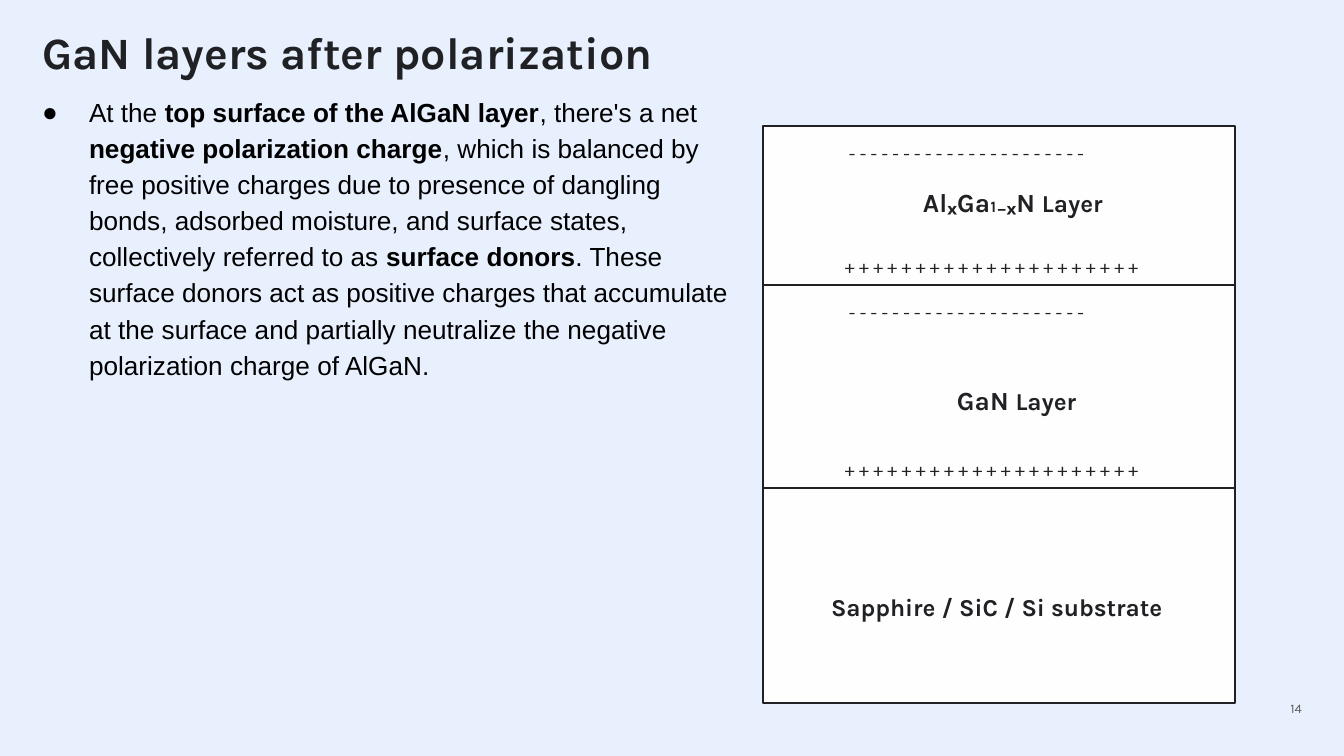
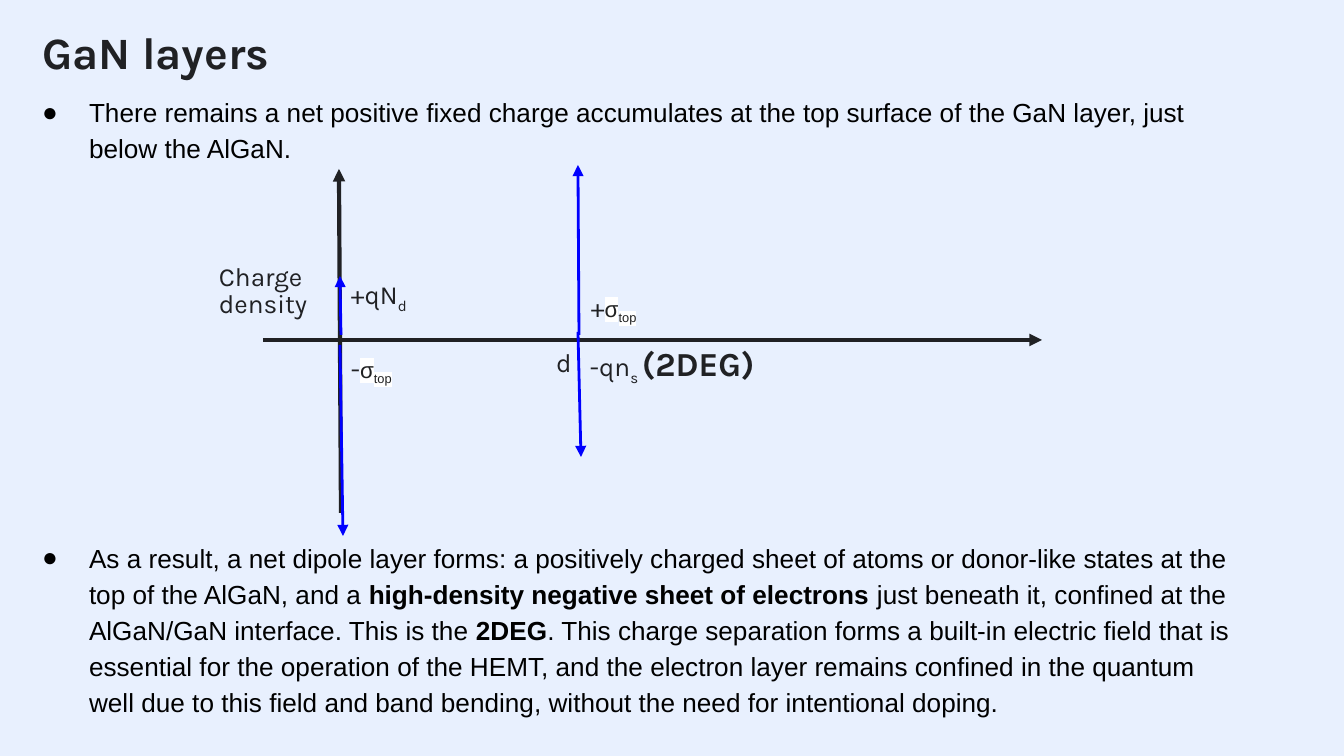
from dataclasses import dataclass
from itertools import cycle

from lxml.etree import SubElement
from pptx import Presentation
from pptx.dml.color import RGBColor
from pptx.enum.shapes import MSO_CONNECTOR as Connector, MSO_SHAPE as Shape
from pptx.enum.text import MSO_ANCHOR as Anchor, MSO_AUTO_SIZE as AutoSize, PP_ALIGN as Align
from pptx.oxml.ns import qn
from pptx.util import Pt

SCALE = 9144000 / 1344


@dataclass(frozen=True)
class Theme:
    background: str = "E8F0FE"
    panel: str = "FEFEFE"
    ink: str = "202124"
    symbol: str = "202122"
    body: str = "000000"
    arrow: str = "0000FF"
    muted: str = "5A5A5A"
    highlight: str = "FFFFFF"
    heading_font: str = "Karla"
    body_font: str = "Arial"
    title_size: int = 24
    emphasis_size: int = 18
    text_size: int = 14
    layer_size: int = 13
    symbol_size: int = 12
    charge_size: int = 10
    number_size: int = 7


THEME = Theme()
SUBSCRIPT = {"baseline": -25}
SIGMA = {
    "size": THEME.symbol_size,
    "font": THEME.body_font,
    "color": THEME.symbol,
    "highlight": THEME.highlight,
}
SIGMA_TOP = [("σ", SIGMA), ("top", SIGMA | SUBSCRIPT)]


def px(value):
    return round(value * SCALE)


def rgb(color):
    return RGBColor.from_string(color)


def place(shape, left, top, width, height):
    shape.left, shape.top, shape.width, shape.height = map(px, (left, top, width, height))


def write(paragraph, text, size=THEME.text_size, font=THEME.heading_font, color=THEME.ink,
          bold=False, baseline=0, highlight=None):
    run = paragraph.add_run()
    run.text = text
    run.font.size = Pt(size)
    run.font.name = font
    run.font.bold = bold
    run.font.color.rgb = rgb(color)
    properties = run.font._element
    if baseline:
        properties.set("baseline", str(baseline * 1000))
    if highlight:
        mark = SubElement(properties, qn("a:highlight"))
        SubElement(mark, qn("a:srgbClr"), val=highlight)
        properties.find(qn("a:solidFill")).addnext(mark)


def prepare_frame(shape, inset=0, anchor=Anchor.TOP):
    frame = shape.text_frame
    frame.word_wrap = True
    frame.auto_size = AutoSize.NONE
    frame.vertical_anchor = anchor
    frame.margin_left = frame.margin_right = px(inset)
    frame.margin_top = frame.margin_bottom = px(inset)
    return frame


def add_label(slide, box, runs, inset=0, anchor=Anchor.TOP, align=Align.LEFT, spacing=1.0):
    shape = slide.shapes.add_textbox(*map(px, box))
    paragraph = prepare_frame(shape, inset, anchor).paragraphs[0]
    paragraph.alignment = align
    paragraph.line_spacing = spacing
    for text, style in runs:
        write(paragraph, text, **style)


def add_title(slide, text):
    title = slide.shapes.title
    place(title, 42, 5, 939, 74)
    paragraph = prepare_frame(title, anchor=Anchor.BOTTOM).paragraphs[0]
    paragraph.alignment = Align.LEFT
    paragraph.line_spacing = 0.85
    write(paragraph, text, size=THEME.title_size, bold=True)


def format_bullet(paragraph):
    properties = paragraph._p.get_or_add_pPr()
    properties.set("marL", str(px(67)))
    properties.set("indent", str(px(-47)))
    color = SubElement(properties, qn("a:buClr"))
    SubElement(color, qn("a:srgbClr"), val=THEME.body)
    SubElement(properties, qn("a:buFont"), typeface=THEME.body_font)
    SubElement(properties, qn("a:buChar"), char="●")


def add_bullets(slide, box, items, gap=0):
    body = slide.placeholders[1]
    place(body, *box)
    frame = prepare_frame(body, inset=13)
    for index, item in enumerate(items):
        paragraph = frame.add_paragraph() if index else frame.paragraphs[0]
        format_bullet(paragraph)
        paragraph.line_spacing = 1.15
        paragraph.space_before = Pt(gap if index else 0)
        for text, bold in zip(item.split("**"), cycle((False, True))):
            write(paragraph, text, font=THEME.body_font, color=THEME.body, bold=bold)


def add_layer(slide, box, name, name_left, name_drop, charged):
    left, top, width, height = box
    panel = slide.shapes.add_shape(Shape.RECTANGLE, *map(px, box))
    panel.shadow.inherit = False
    panel.fill.solid()
    panel.fill.fore_color.rgb = rgb(THEME.panel)
    panel.line.color.rgb = rgb(THEME.ink)
    panel.line.width = Pt(0.75)
    if charged:
        for sign, shift, drop in (("-", 73, 3), ("+", 69, height - 43)):
            charges = [(" ".join(sign * 22), {"size": THEME.charge_size})]
            add_label(slide, (left + shift, top + drop, 325, 43), charges, inset=13)
    name_box = (left + name_left, top + name_drop, width - name_left - 27, 45)
    add_label(slide, name_box, name, inset=13)


def add_layer_stack(slide, left, top, width):
    formula = {"size": THEME.text_size, "bold": True}
    plain = {"size": THEME.layer_size, "bold": True}
    layers = (
        (159, [("AlₓGa₁₋ₓN ", formula), ("Layer", plain)], 147, 47, True),
        (203, [("GaN ", formula), ("Layer", plain)], 181, 86, True),
        (215, [("Sapphire / SiC / Si substrate", plain)], 55, 91, False),
    )
    for height, *details in layers:
        add_layer(slide, (left, top, width, height), *details)
        top += height


def add_arrow(slide, start, end, color, weight):
    arrow = slide.shapes.add_connector(Connector.STRAIGHT, *map(px, start + end))
    arrow.line.color.rgb = rgb(color)
    arrow.line.width = Pt(weight)
    SubElement(arrow.line._get_or_add_ln(), qn("a:tailEnd"), type="triangle")
    SubElement(arrow._element.spPr, qn("a:effectLst"))


def add_charge_diagram(slide, left, top):
    axes = (((44, 175), (823, 175)), ((122, 348), (120, 4)))
    charges = (
        ((122, 170), (121, 111)),
        ((360, 170), (359, 0)),
        ((121, 180), (124, 371)),
        ((359, 167), (362, 292)),
    )
    for arrows, color, weight in ((axes, THEME.ink, 2.25), (charges, THEME.arrow, 1.5)):
        for start, end in arrows:
            add_arrow(slide, (left + start[0], top + start[1]),
                      (left + end[0], top + end[1]), color, weight)

    gas = {"size": THEME.emphasis_size, "bold": True}
    labels = (
        (337, 139, 230, 74, [("d", {})]),
        (132, 72, 230, 74, [("+qN", {}), ("d", SUBSCRIPT)]),
        (132, 145, 230, 74, [("-", {}), *SIGMA_TOP]),
        (372, 84, 230, 74, [("+", {}), *SIGMA_TOP]),
        (371, 145, 230, 74, [("-qn", {}), ("s ", SUBSCRIPT), ("(2DEG)", gas)]),
        (0, 55, 167, 99, [("Charge density", {})]),
    )
    for x, y, width, height, runs in labels:
        add_label(slide, (left + x, top + y, width, height), runs,
                  anchor=Anchor.BOTTOM, spacing=0.85)


def add_page_number(slide, number):
    style = {"size": THEME.number_size, "color": THEME.muted}
    add_label(slide, (1258, 687, 44, 29), [(number, style)],
              anchor=Anchor.BOTTOM, align=Align.RIGHT)


def build_polarization_slide(slide):
    add_title(slide, "GaN layers after polarization")
    add_bullets(slide, (9, 79, 735, 372), [
        "At the **top surface of the AlGaN layer**, there's a net **negative polarization "
        "charge**, which is balanced by free positive charges due to presence of dangling "
        "bonds, adsorbed moisture, and surface states, collectively referred to as "
        "**surface donors**. These surface donors act as positive charges that accumulate "
        "at the surface and partially neutralize the negative polarization charge of AlGaN.",
    ])
    add_layer_stack(slide, 763, 126, 472)
    add_page_number(slide, "14")


def build_dipole_slide(slide):
    add_title(slide, "GaN layers")
    add_bullets(slide, (9, 79, 1243, 655), [
        "There remains a net positive fixed charge accumulates at the top surface of the "
        "GaN layer, just below the AlGaN.",
        "As a result, a net dipole layer forms: a positively charged sheet of atoms or "
        "donor-like states at the top of the AlGaN, and a **high-density negative sheet of "
        "electrons** just beneath it, confined at the AlGaN/GaN interface. This is the "
        "**2DEG**. This charge separation forms a built-in electric field that is essential "
        "for the operation of the HEMT, and the electron layer remains confined in the "
        "quantum well due to this field and band bending, without the need for intentional "
        "doping.",
    ], gap=200)
    add_charge_diagram(slide, 219, 165)


def main():
    presentation = Presentation()
    presentation.slide_width, presentation.slide_height = px(1344), px(756)
    background = presentation.slide_master.background.fill
    background.solid()
    background.fore_color.rgb = rgb(THEME.background)
    for build in (build_polarization_slide, build_dipole_slide):
        build(presentation.slides.add_slide(presentation.slide_layouts[1]))
    presentation.save("out.pptx")


if __name__ == "__main__":
    main()
